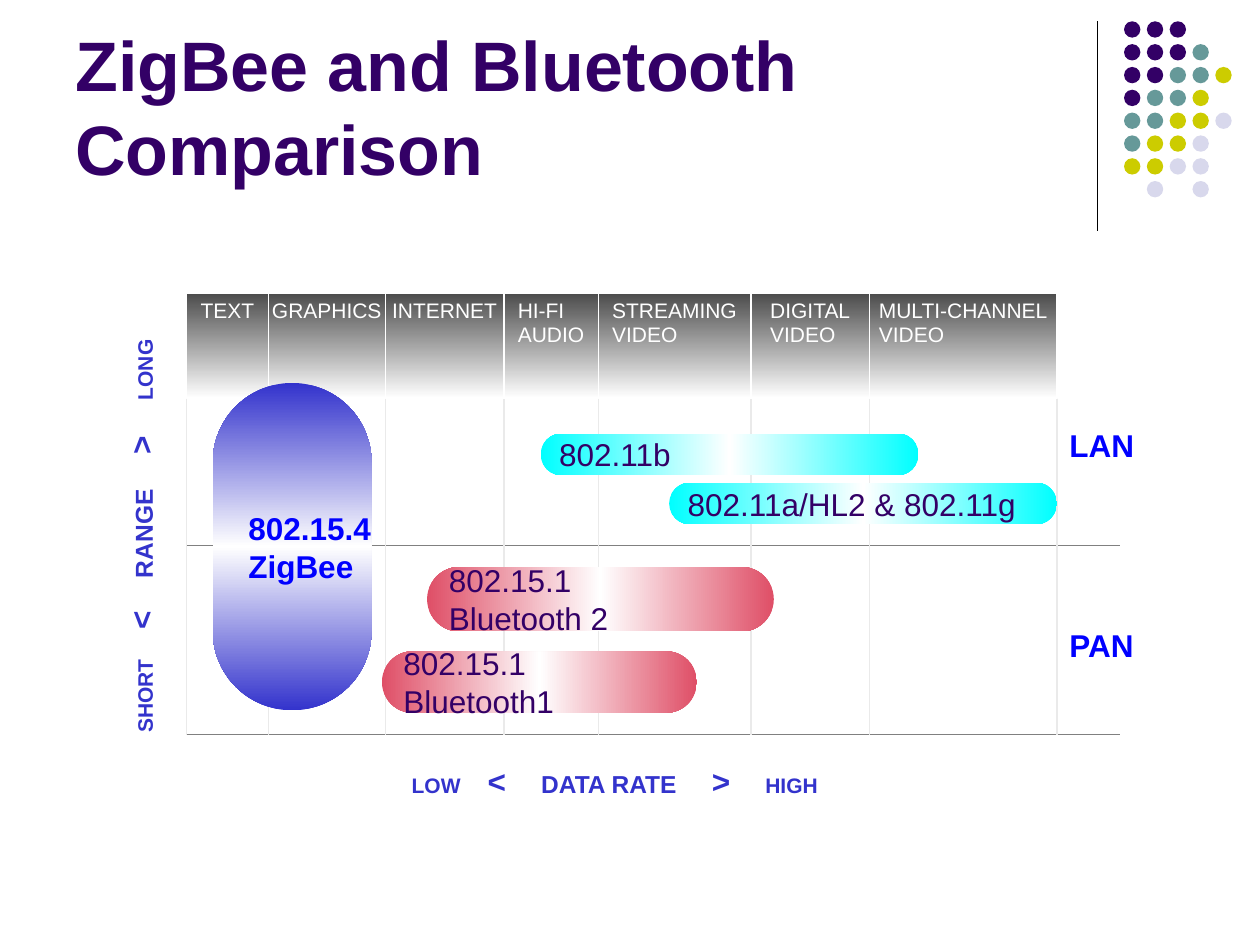
from copy import deepcopy

from lxml.etree import SubElement
from pptx import Presentation
from pptx.dml.color import RGBColor
from pptx.enum.shapes import MSO_CONNECTOR, MSO_SHAPE
from pptx.enum.text import MSO_ANCHOR, PP_ALIGN
from pptx.oxml.ns import qn
from pptx.util import Cm, Pt

STRAIGHT = MSO_CONNECTOR.STRAIGHT
RECTANGLE, PILL, OVAL = MSO_SHAPE.RECTANGLE, MSO_SHAPE.ROUNDED_RECTANGLE, MSO_SHAPE.OVAL
TOP, MIDDLE, BOTTOM = MSO_ANCHOR.TOP, MSO_ANCHOR.MIDDLE, MSO_ANCHOR.BOTTOM
LEFT = PP_ALIGN.LEFT

COLORS = {
    "purple": "330066", "teal": "669999", "olive": "CCCC00", "lavender": "D8D8EC",
    "black": "000000", "white": "FFFFFF", "charcoal": "4D4D4D", "rule": "808080",
    "grid": "EAEAEA", "axis": "3333CC", "blue": "0000FF", "cyan": "00FFFF", "rose": "DF4F67",
}
DOT_COLORS = {"P": "purple", "T": "teal", "Y": "olive", "L": "lavender"}
DOT_ROWS = ["PPP", "PPPT", "PPTTY", "PTTY", "TTYYL", "TYYL", "YYLL", " L L"]
DOT_PITCH, DOT_SIZE = 0.46, 0.33

COLUMN_EDGES = [3.76, 5.41, 7.77, 10.16, 12.06, 15.14, 17.53, 21.31]
USES = ["TEXT", "GRAPHICS", "INTERNET", "HI-FI\nAUDIO", "STREAMING\nVIDEO",
        "DIGITAL\nVIDEO", "MULTI-CHANNEL\nVIDEO"]
GRID_TOP, GRID_BOTTOM, RANGE_DIVIDER, RULE_END = 5.92, 14.81, 11, 22.58
AXIS_SIZES = [12, 18, 14, 18, 12]

# (text, box, edge colour, text colour, gradient angle, bold)
STANDARDS = [
    ("802.15.1\nBluetooth1", (7.7, 13.13, 6.35, 1.24), "rose", "purple", 0, False),
    ("802.15.1\nBluetooth 2", (8.61, 11.43, 6.99, 1.3), "rose", "purple", 0, False),
    ("802.15.4\nZigBee", (4.29, 7.72, 3.2, 6.6), "axis", "blue", 270, True),
    ("802.11b", (10.9, 8.74, 7.62, 0.84), "cyan", "purple", 0, False),
    ("802.11a/HL2 & 802.11g", (13.49, 9.73, 7.82, 0.84), "cyan", "purple", 0, False),
]


def rgb(name):
    """Return the named colour."""
    return RGBColor.from_string(COLORS[name])


def style_font(font, size, color, bold=False):
    """Apply the slide's typeface with a size, colour and weight."""
    font.name, font.size, font.bold = "Arial", Pt(size), bold
    font.color.rgb = rgb(color)


def write_lines(frame, text, size, color, bold=False, spacing=None):
    """Write left-aligned paragraphs, one per line of text."""
    frame.text = text
    for paragraph in frame.paragraphs:
        paragraph.alignment = LEFT
        paragraph.line_spacing = spacing
        style_font(paragraph.font, size, color, bold)


def add_rule(slide, start, end, color):
    """Draw a thin straight line between two points."""
    rule = slide.shapes.add_connector(STRAIGHT, *map(Cm, start + end))
    rule.line.color.rgb = rgb(color)
    rule.line.width = Pt(0.75)
    SubElement(rule._element.spPr, qn("a:effectLst"))


def add_block(slide, kind, box):
    """Add a preset shape with neither shadow nor outline."""
    block = slide.shapes.add_shape(kind, *map(Cm, box))
    block.shadow.inherit = False
    block.line.fill.background()
    return block


def fill_gradient(block, names, angle):
    """Fill a block with evenly spaced gradient colours."""
    block.fill.gradient()
    block.fill.gradient_angle = angle
    stop_list = block._element.spPr.find(qn("a:gradFill")).find(qn("a:gsLst"))
    for _ in names[2:]:
        stop_list.append(deepcopy(stop_list[0]))
    for index, (stop, name) in enumerate(zip(block.fill.gradient_stops, names)):
        stop.color.rgb = rgb(name)
        stop.position = index / (len(names) - 1)


def add_label(slide, text, box, size, color, anchor=TOP):
    """Add a bold wrapped text box."""
    label = slide.shapes.add_textbox(*map(Cm, box))
    label.text_frame.word_wrap = True
    label.text_frame.vertical_anchor = anchor
    write_lines(label.text_frame, text, size, color, True)


def add_axis(slide, words, box, tab_stops, rotation=0):
    """Add an axis caption whose words sit on tab stops."""
    axis = slide.shapes.add_textbox(*map(Cm, box))
    axis.rotation = rotation
    axis.text_frame.word_wrap = True
    paragraph = axis.text_frame.paragraphs[0]
    tabs = SubElement(paragraph._p.get_or_add_pPr(), qn("a:tabLst"))
    for position in tab_stops:
        SubElement(tabs, qn("a:tab"), pos=str(Cm(position)), algn="l")
    for index, (word, size) in enumerate(zip(words, AXIS_SIZES)):
        run = paragraph.add_run()
        run.text = "\t" + word if index else word
        style_font(run.font, size, "axis", True)


def add_dots(slide):
    """Draw the corner pattern of coloured dots."""
    for row, codes in enumerate(DOT_ROWS):
        for column, code in enumerate(codes):
            if code in DOT_COLORS:
                place = (22.66 + column * DOT_PITCH, 0.43 + row * DOT_PITCH)
                dot = add_block(slide, OVAL, place + (DOT_SIZE, DOT_SIZE))
                dot.fill.solid()
                dot.fill.fore_color.rgb = rgb(DOT_COLORS[code])


def add_use(slide, text, left, right):
    """Add the column header for one use of the network."""
    header = add_block(slide, RECTANGLE, (left, GRID_TOP, right - left, 2.11))
    fill_gradient(header, ["charcoal", "white"], 270)
    header.line.color.rgb = rgb("white")
    header.line.width = Pt(0.75)
    frame = header.text_frame
    frame.word_wrap = False
    frame.vertical_anchor = TOP
    frame._txBody.bodyPr.set("anchorCtr", "1")
    write_lines(frame, text, 12, "white", spacing=0.95)


def add_standard(slide, text, box, edge, color, angle, bold):
    """Add the pill that spans one standard's data rates and range."""
    pill = add_block(slide, PILL, box)
    pill.adjustments[0] = 0.5
    fill_gradient(pill, [edge, "white", edge], angle)
    pill.text_frame.word_wrap = False
    pill.text_frame.vertical_anchor = MIDDLE
    write_lines(pill.text_frame, text, 18, color, bold)


def main():
    """Build and save the comparison slide."""
    deck = Presentation()
    deck.slide_width, deck.slide_height = Cm(25.4), Cm(19.05)
    slide = deck.slides.add_slide(deck.slide_layouts[6])

    add_rule(slide, (22.12, 0.43), (22.12, 4.65), "black")
    add_dots(slide)
    add_label(slide, "ZigBee and Bluetooth Comparison", (1.27, 0.33, 20.96, 3.61),
              40, "purple", BOTTOM)

    for height in (RANGE_DIVIDER, GRID_BOTTOM):
        add_rule(slide, (COLUMN_EDGES[0], height), (RULE_END, height), "rule")
    add_axis(slide, ["SHORT", "<", "RANGE", ">", "LONG"], (-1.65, 10.11, 8.89, 0.94),
             [2.08, 3.12, 5.62, 6.71], 270)
    add_axis(slide, ["LOW", "<", "DATA RATE", ">", "HIGH"], (8.05, 15.24, 10.36, 0.94),
             [1.53, 2.61, 6.05, 7.13])
    for network, top in (("PAN", 12.5), ("LAN", 8.46)):
        add_label(slide, network, (21.31, top, 1.91, 0.94), 18, "blue")

    for edge in COLUMN_EDGES:
        add_rule(slide, (edge, GRID_BOTTOM), (edge, GRID_TOP), "grid")
    for use, left, right in zip(USES, COLUMN_EDGES, COLUMN_EDGES[1:]):
        add_use(slide, use, left, right)
    for standard in STANDARDS:
        add_standard(slide, *standard)

    deck.save("out.pptx")


if __name__ == "__main__":
    main()
